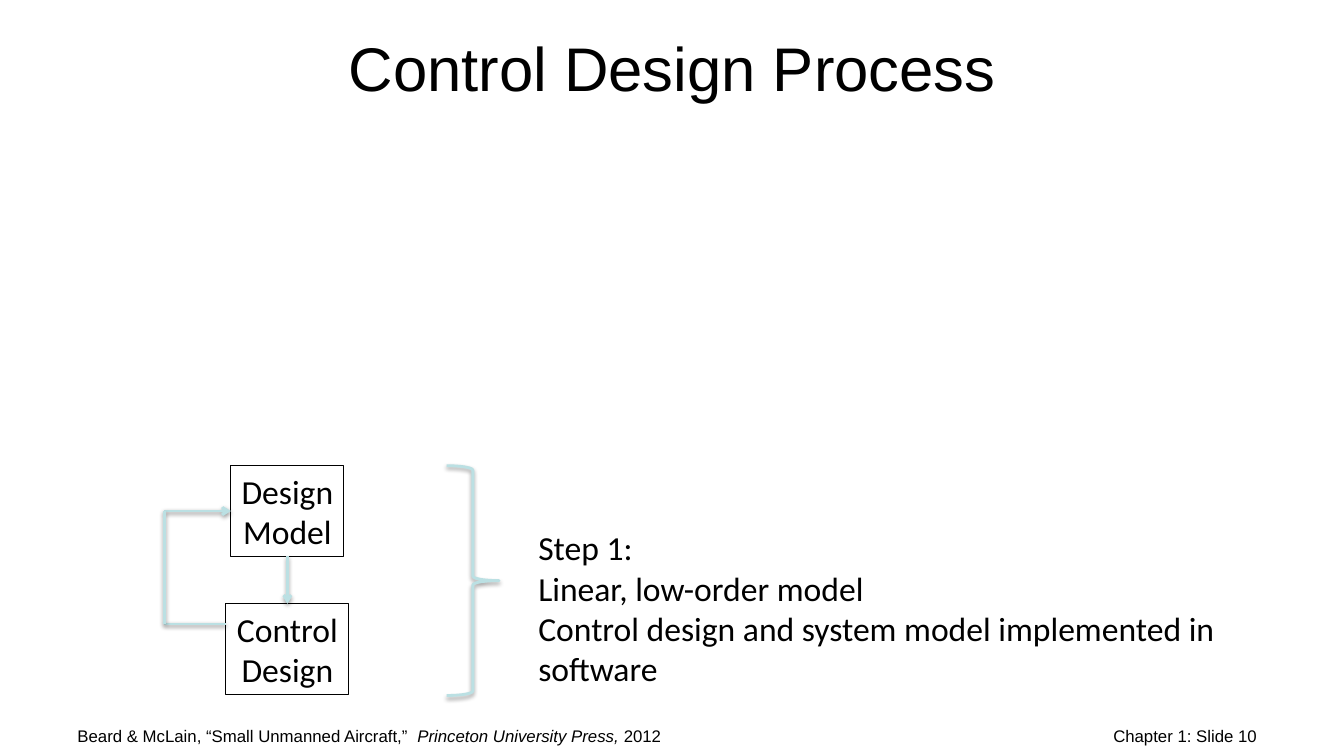
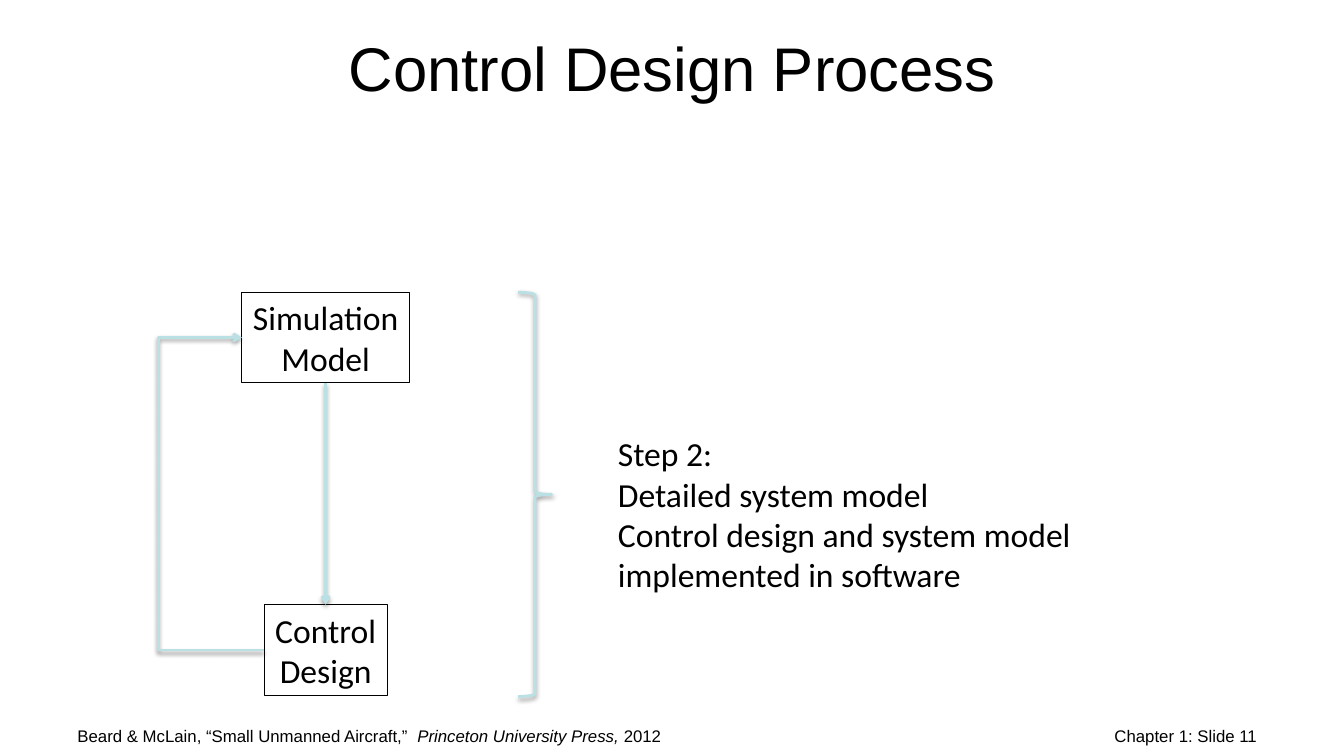
from dataclasses import dataclass
from typing import Optional

from lxml import etree
from pptx import Presentation
from pptx import util as u
from pptx.dml.color import RGBColor
from pptx.enum import shapes, text
from pptx.oxml.ns import qn

PX = 9144


@dataclass(frozen=True)
class Theme:
    ink: RGBColor = RGBColor(0, 0, 0)
    line: RGBColor = RGBColor(0xBB, 0xE0, 0xE3)
    head: str = "Arial"
    body: str = "Calibri"
    title: int = 44
    label: int = 24
    foot: int = 12
    thin: float = 0.75
    thick: float = 2


@dataclass(frozen=True)
class Rect:
    x: int
    y: int
    w: int
    h: int

    def emu(self) -> tuple:
        return tuple(u.Emu(v * PX) for v in (self.x, self.y, self.w, self.h))


@dataclass(frozen=True)
class Node:
    words: str
    y: int
    w: int


@dataclass(frozen=True)
class Step:
    page: int
    axis: int
    nodes: tuple[Node, Node]
    brace: Rect
    note: str
    area: Rect
    loop: int
    exit: Optional[int] = None


THEME = Theme()
TITLE = Rect(217, 23, 900, 87)
FOOT = Rect(67, 715, 1200, 35)
TAB = 1170
TALL = 90

STEPS = (
    Step(10, 285, (Node("Design\nModel", 462, 112), Node("Control\nDesign", 599, 122)),
         Rect(443, 462, 52, 228),
         "Step 1:\nLinear, low-order model\n"
         "Control design and system model implemented in software",
         Rect(524, 518, 691, 172), 163, 619),
    Step(11, 323, (Node("Simulation\nModel", 290, 166), Node("Control\nDesign", 600, 122)),
         Rect(514, 290, 33, 401),
         "Step 2:\nDetailed system model\n"
         "Control design and system model implemented in software",
         Rect(603, 425, 615, 172), 157),
)


def style(frame, face: str, size: int, align=None) -> None:
    for para in frame.paragraphs:
        if align is not None:
            para.alignment = align
        for run in para.runs:
            run.font.name = face
            run.font.size = u.Pt(size)
            run.font.color.rgb = THEME.ink


def stroke(shape, color: RGBColor, width: float) -> None:
    shape.line.color.rgb = color
    shape.line.width = u.Pt(width)


def shade(shape) -> None:
    props = shape._element.spPr
    for old in props.findall(qn("a:effectLst")):
        props.remove(old)
    glow = etree.SubElement(props, qn("a:effectLst"))
    cast = etree.SubElement(glow, qn("a:outerShdw"), blurRad="40000", dist="20000",
                            dir="5400000", rotWithShape="0")
    tint = etree.SubElement(cast, qn("a:srgbClr"), val=str(THEME.ink))
    etree.SubElement(tint, qn("a:alpha"), val="38000")


def link(slide, start: tuple, end: tuple, arrow: bool = False,
         kind=shapes.MSO_CONNECTOR.STRAIGHT):
    line = slide.shapes.add_connector(kind, *(u.Emu(v * PX) for v in start + end))
    stroke(line, THEME.line, THEME.thick)
    if arrow:
        etree.SubElement(line.line._ln, qn("a:tailEnd"), type="arrow")
    shade(line)
    return line


def box(slide, node: Node, axis: int):
    area = Rect(axis - node.w // 2, node.y, node.w, TALL)
    shape = slide.shapes.add_shape(shapes.MSO_SHAPE.RECTANGLE, *area.emu())
    shape.shadow.inherit = False
    shape.fill.background()
    stroke(shape, THEME.ink, THEME.thin)
    frame = shape.text_frame
    frame.text = node.words
    frame.word_wrap = False
    frame.auto_size = text.MSO_AUTO_SIZE.SHAPE_TO_FIT_TEXT
    frame.vertical_anchor = text.MSO_ANCHOR.TOP
    style(frame, THEME.body, THEME.label, text.PP_ALIGN.CENTER)
    return shape


def loop(slide, step: Step, model) -> None:
    first, last = step.nodes
    top = first.y + TALL // 2
    goal = (step.axis - first.w // 2, top)
    low = step.exit or last.y + TALL // 2
    start = (step.axis - last.w // 2, low)
    if step.exit:
        link(slide, (step.loop, top), goal, True).end_connect(model, 1)
        link(slide, start, (step.loop, low))
        link(slide, (step.loop, top), (step.loop, low))
        return
    bend = link(slide, start, goal, True, shapes.MSO_CONNECTOR.ELBOW)
    geom = bend._element.spPr.find(qn("a:prstGeom"))
    ratio = (start[0] - step.loop) / (start[0] - goal[0])
    etree.SubElement(geom.find(qn("a:avLst")), qn("a:gd"), name="adj1",
                     fmla=f"val {round(ratio * 100000)}")


def brace(slide, area: Rect) -> None:
    shape = slide.shapes.add_shape(shapes.MSO_SHAPE.RIGHT_BRACE, *area.emu())
    shape.fill.background()
    stroke(shape, THEME.line, THEME.thick)
    shade(shape)


def note(slide, words: str, area: Rect) -> None:
    frame = slide.shapes.add_textbox(*area.emu()).text_frame
    frame.word_wrap = True
    frame.auto_size = text.MSO_AUTO_SIZE.SHAPE_TO_FIT_TEXT
    frame.text = words
    style(frame, THEME.body, THEME.label)


def foot(slide, page: int) -> None:
    frame = slide.shapes.add_textbox(*FOOT.emu()).text_frame
    frame.word_wrap = True
    para = frame.paragraphs[0]
    tabs = etree.SubElement(para._p.get_or_add_pPr(), qn("a:tabLst"))
    etree.SubElement(tabs, qn("a:tab"), pos=str(TAB * PX), algn="r")
    for words, slant in (("Beard & McLain, “Small Unmanned Aircraft,”  ", False),
                         ("Princeton University Press,", True),
                         (f" 2012\tChapter 1: Slide {page}", False)):
        run = para.add_run()
        run.text = words
        run.font.italic = slant
    style(frame, THEME.head, THEME.foot)


def title(slide) -> None:
    shape = slide.shapes.title
    shape.left, shape.top, shape.width, shape.height = TITLE.emu()
    frame = shape.text_frame
    frame.text = "Control Design Process"
    frame.vertical_anchor = text.MSO_ANCHOR.MIDDLE
    style(frame, THEME.head, THEME.title, text.PP_ALIGN.CENTER)


def draw(deck, step: Step) -> None:
    slide = deck.slides.add_slide(deck.slide_layouts[5])
    foot(slide, step.page)
    title(slide)
    model, plan = (box(slide, node, step.axis) for node in step.nodes)
    first, last = step.nodes
    down = link(slide, (step.axis, first.y + TALL), (step.axis, last.y), True)
    down.begin_connect(model, 2)
    down.end_connect(plan, 0)
    loop(slide, step, model)
    note(slide, step.note, step.area)
    brace(slide, step.brace)


def main() -> None:
    deck = Presentation()
    deck.slide_width, deck.slide_height = u.Emu(1333 * PX), u.Emu(750 * PX)
    for step in STEPS:
        draw(deck, step)
    deck.save("out.pptx")


if __name__ == "__main__":
    main()
